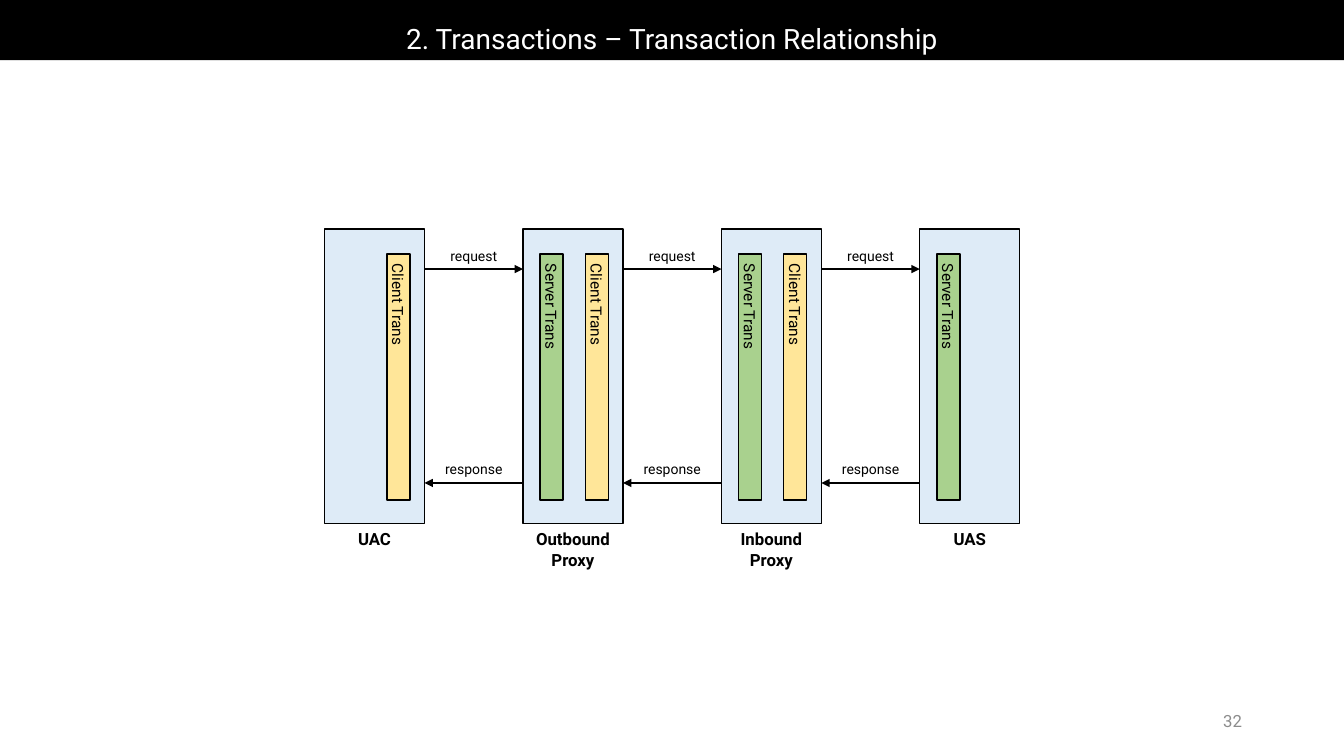
from dataclasses import dataclass

from lxml import etree
from pptx import Presentation
from pptx.dml.color import RGBColor
from pptx.enum import shapes, text
from pptx.oxml import ns
from pptx.util import Cm, Pt


@dataclass(frozen=True)
class Theme:
    font: str = "Roboto"
    black: str = "000000"
    white: str = "FFFFFF"
    grey: str = "8C8C8C"
    node: str = "DEEBF7"
    client: str = "FFE699"
    server: str = "A9D18E"
    title_size: int = 20
    label_size: int = 12
    bar_size: int = 11
    message_size: int = 10
    line_width: int = 1


THEME = Theme()

# Node columns, in centimetres
NODE_LEFT, NODE_TOP, NODE_WIDTH, NODE_HEIGHT = 8.18, 5.77, 2.52, 7.42
NODE_PITCH = 5
BAR_TOP, BAR_WIDTH, BAR_HEIGHT = 6.4, 0.58, 6.2
LABEL_TOP = 13.21

# Bar name: offset inside its node, fill
BARS = {
    "Client Trans": (1.57, THEME.client),
    "Server Trans": (0.43, THEME.server),
}

# Label lines, label width, label height, bars
NODES = [
    (["UAC"], 1.37, 0.76, ["Client Trans"]),
    (["Outbound", "Proxy"], 2.39, 1.27, ["Client Trans", "Server Trans"]),
    (["Inbound", "Proxy"], 2.08, 1.27, ["Client Trans", "Server Trans"]),
    (["UAS"], 1.37, 0.76, ["Server Trans"]),
]

# Message, label width, label top, arrow height on the slide, points right
MESSAGES = [
    ("request", 1.7, 6.1, 6.78, True),
    ("response", 1.98, 11.48, 12.17, False),
]


def write(frame, lines, size, color, bold=False, align=text.PP_ALIGN.CENTER):
    for index, line in enumerate(lines):
        paragraph = frame.add_paragraph() if index else frame.paragraphs[0]
        paragraph.alignment = align
        run = paragraph.add_run()
        run.text = line
        run.font.name = THEME.font
        run.font.size = Pt(size)
        run.font.bold = bold
        run.font.color.rgb = RGBColor.from_string(color)


def add_box(slide, left, top, width, height, fill, outlined=True):
    box = slide.shapes.add_shape(
        shapes.MSO_SHAPE.RECTANGLE, Cm(left), Cm(top), Cm(width), Cm(height))
    box.shadow.inherit = False
    box.fill.solid()
    box.fill.fore_color.rgb = RGBColor.from_string(fill)
    if outlined:
        box.line.color.rgb = RGBColor.from_string(THEME.black)
        box.line.width = Pt(THEME.line_width)
    else:
        box.line.fill.background()
    return box


def add_label(slide, center, top, width, height, lines, size, bold=False):
    label = slide.shapes.add_textbox(
        Cm(center - width / 2), Cm(top), Cm(width), Cm(height))
    label.text_frame.word_wrap = False
    label.text_frame.auto_size = text.MSO_AUTO_SIZE.SHAPE_TO_FIT_TEXT
    write(label.text_frame, lines, size, THEME.black, bold)


def add_arrow(slide, start, end, height):
    arrow = slide.shapes.add_connector(
        shapes.MSO_CONNECTOR.STRAIGHT, Cm(start), Cm(height), Cm(end), Cm(height))
    arrow.line.color.rgb = RGBColor.from_string(THEME.black)
    arrow.line.width = Pt(THEME.line_width)
    tip = etree.SubElement(arrow.line._get_or_add_ln(), ns.qn("a:tailEnd"))
    tip.set("type", "triangle")
    etree.SubElement(arrow._element.spPr, ns.qn("a:effectLst"))


def add_title(slide, title, width):
    banner = add_box(slide, 0, 0, width, 1.52, THEME.black, outlined=False)
    frame = banner.text_frame
    frame.vertical_anchor = text.MSO_ANCHOR.BOTTOM
    write(frame, [title], THEME.title_size, THEME.white)
    frame.paragraphs[0].line_spacing = 0.9


def add_page_number(slide, number):
    footer = slide.shapes.add_textbox(Cm(23.93), Cm(17.65), Cm(7.62), Cm(1.02))
    frame = footer.text_frame
    frame.word_wrap = True
    frame.vertical_anchor = text.MSO_ANCHOR.MIDDLE
    write(frame, [number], THEME.label_size, THEME.grey, align=text.PP_ALIGN.RIGHT)


def add_bar(slide, node_left, name):
    offset, fill = BARS[name]
    bar = add_box(slide, node_left + offset, BAR_TOP, BAR_WIDTH, BAR_HEIGHT, fill)
    frame = bar.text_frame
    frame.vertical_anchor = text.MSO_ANCHOR.MIDDLE
    frame._txBody.bodyPr.set("vert", "eaVert")
    write(frame, [name], THEME.bar_size, THEME.black)


def add_node(slide, left, lines, label_width, label_height, bars):
    add_box(slide, left, NODE_TOP, NODE_WIDTH, NODE_HEIGHT, THEME.node)
    for name in bars:
        add_bar(slide, left, name)
    add_label(slide, left + NODE_WIDTH / 2, LABEL_TOP, label_width, label_height,
              lines, THEME.label_size, bold=True)


def add_messages(slide, left, right):
    for name, width, top, height, rightward in MESSAGES:
        add_label(slide, (left + right) / 2, top, width, 0.69, [name],
                  THEME.message_size)
        start, end = (left, right) if rightward else (right, left)
        add_arrow(slide, start, end, height)


def main():
    deck = Presentation()
    deck.slide_width, deck.slide_height = Cm(33.87), Cm(19.05)
    slide = deck.slides.add_slide(deck.slide_layouts[6])

    # Title and page number
    add_title(slide, "2. Transactions – Transaction Relationship", 33.87)
    add_page_number(slide, "32")

    # Nodes with their transactions
    lefts = [NODE_LEFT + NODE_PITCH * index for index in range(len(NODES))]
    for left, node in zip(lefts, NODES):
        add_node(slide, left, *node)

    # Messages between neighbouring nodes
    for left, right in zip(lefts, lefts[1:]):
        add_messages(slide, left + NODE_WIDTH, right)

    deck.save("out.pptx")


if __name__ == "__main__":
    main()
